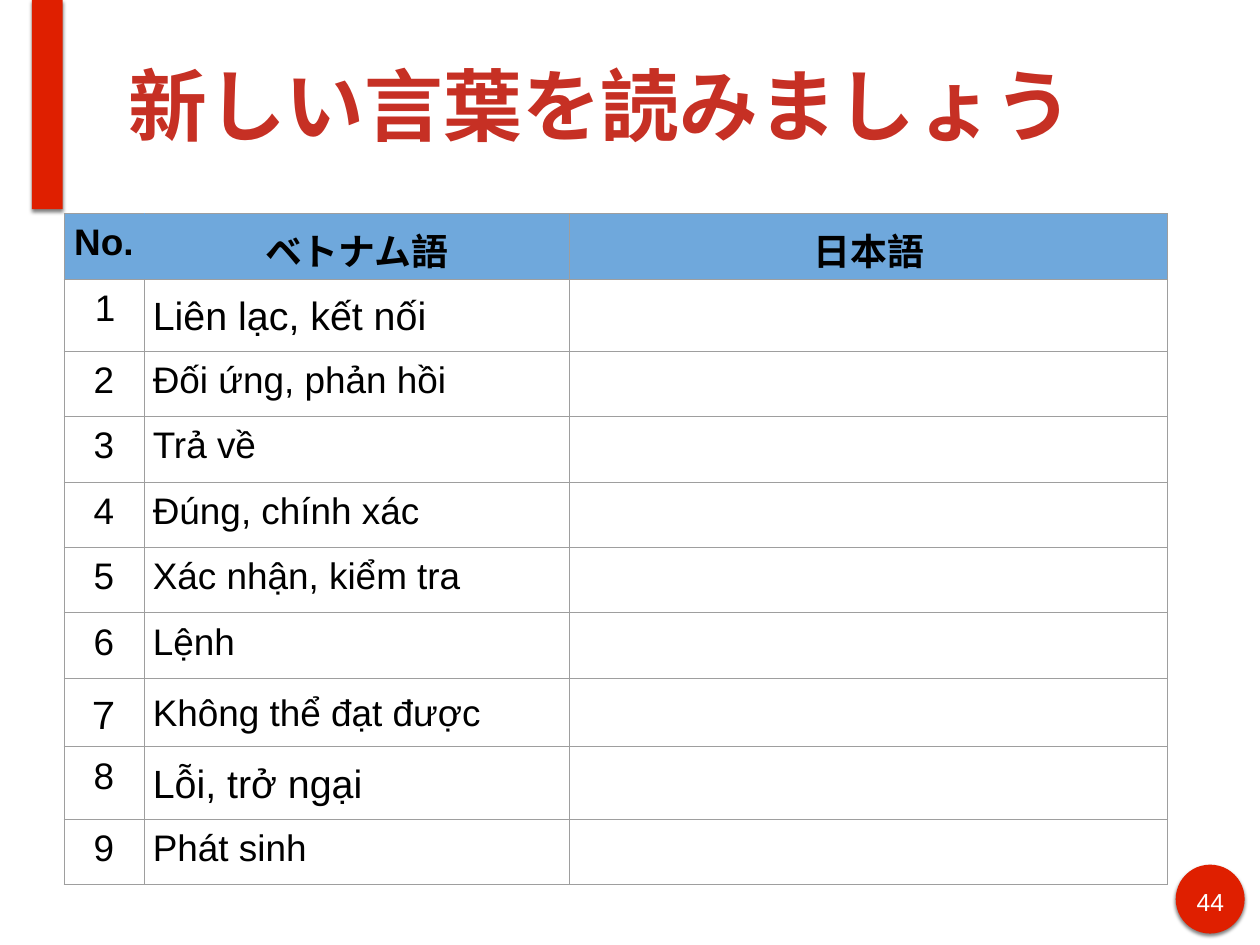
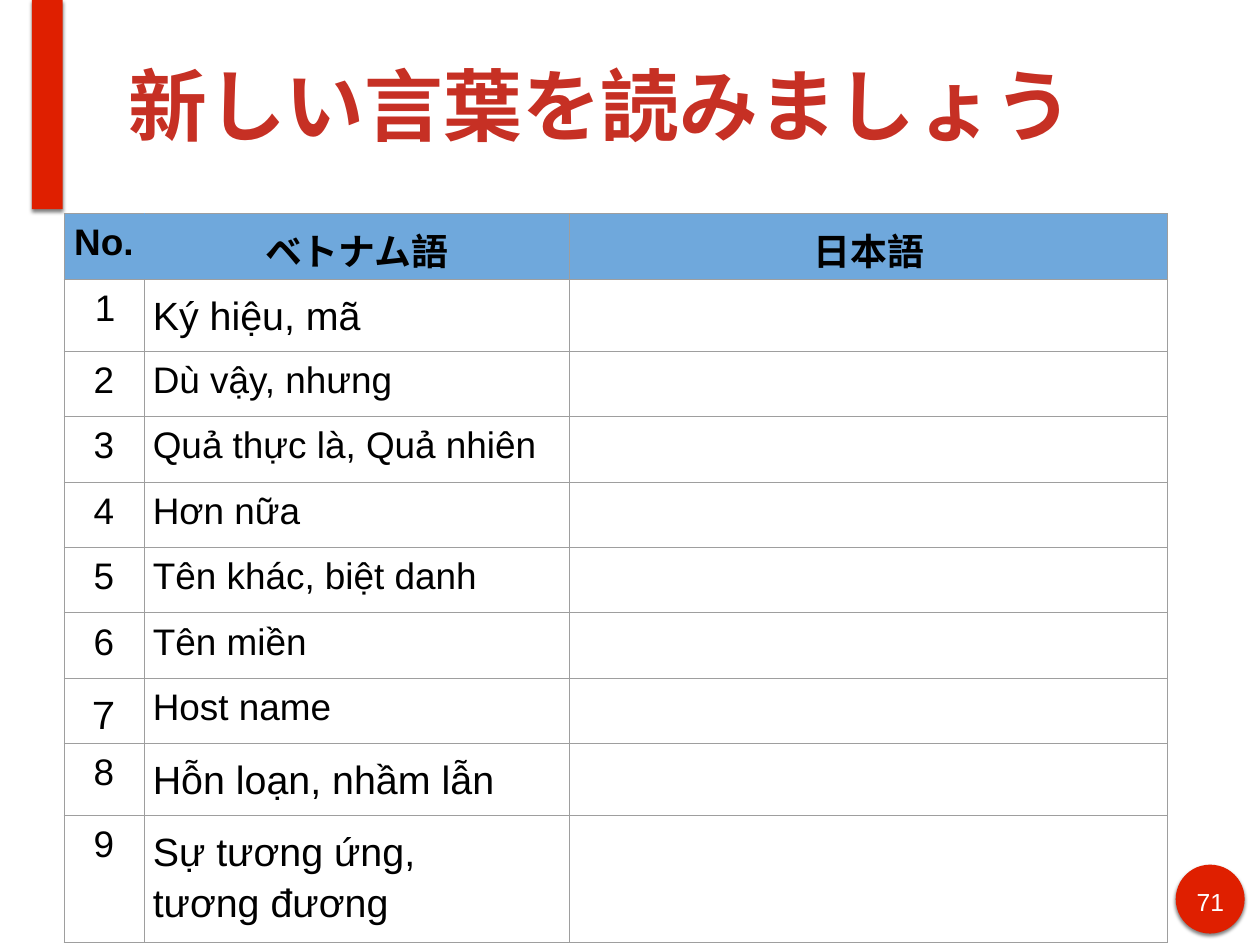
from pptx import Presentation
from pptx.dml.color import RGBColor
from pptx.enum.shapes import MSO_SHAPE as Shape
from pptx.enum.text import MSO_ANCHOR as Anchor, PP_ALIGN as Align
from pptx.oxml import parse_xml
from pptx.oxml.ns import nsdecls
from pptx.util import Pt

COLORS = {"red": "DF1F00", "title": "C63024", "header": "6FA8DC",
          "grid": "9E9E9E", "black": "000000", "white": "FFFFFF"}
TITLE = "新しい言葉を読みましょう"
HEADINGS = ["No.", "ベトナム語", "日本語"]
NUMBERS = ["1", "2", "3", "4", "5", "6", "７", "8", "9"]
COLUMN_WIDTHS = [65, 346, 486]
ROW_HEIGHT = 53.2

LESSONS = [
    {"number": "44", "last_row": ROW_HEIGHT, "large": [1, 8], "spaced": [1, 7, 8],
     "words": ["Liên lạc, kết nối", "Đối ứng, phản hồi", "Trả về",
               "Đúng, chính xác", "Xác nhận, kiểm tra", "Lệnh",
               "Không thể đạt được", "Lỗi, trở ngại", "Phát sinh"]},
    {"number": "71", "last_row": 83.5, "large": [1, 8, 9], "spaced": [1, 8, 9],
     "words": ["Ký hiệu, mã", "Dù vậy, nhưng", "Quả thực là, Quả nhiên",
               "Hơn nữa", "Tên khác, biệt danh", "Tên miền", "Host name",
               "Hỗn loạn, nhầm lẫn", "Sự tương ứng,\ntương đương"]},
]


def write(para, text, size, color, bold=False, align=Align.LEFT):
    para.alignment = align
    for index, line in enumerate(text.split("\n")):
        if index:
            para.add_line_break()
        span = para.add_run()
        span.text = line
        span.font.name = "Arial"
        span.font.size = Pt(size)
        span.font.bold = bold
        span.font.color.rgb = RGBColor.from_string(COLORS[color])


def add_text(page, left, top, width, height, anchor):
    box = page.shapes.add_textbox(Pt(left), Pt(top), Pt(width), Pt(height))
    frame = box.text_frame
    frame.word_wrap = True
    frame.vertical_anchor = anchor
    frame.margin_left = frame.margin_right = Pt(4.5)
    frame.margin_top = frame.margin_bottom = Pt(4.5)
    return frame.paragraphs[0]


deck = Presentation()
deck.slide_width, deck.slide_height = Pt(1024), Pt(768)

for lesson in LESSONS:
    page = deck.slides.add_slide(deck.slide_layouts[6])

    for kind, left, top, width, height in [(Shape.OVAL, 955.5, 702.7, 56, 56),
                                           (Shape.RECTANGLE, 26, 0, 25, 170)]:
        accent = page.shapes.add_shape(kind, Pt(left), Pt(top), Pt(width), Pt(height))
        accent.fill.solid()
        accent.fill.fore_color.rgb = RGBColor.from_string(COLORS["red"])
        accent.line.fill.background()
        accent.shadow.inherit = False
        accent.element.spPr.find("{*}effectLst").append(parse_xml(
            f'<a:outerShdw {nsdecls("a")} blurRad="{Pt(3)}" dist="{Pt(2)}" '
            f'dir="5400000" rotWithShape="0"><a:srgbClr val="{COLORS["black"]}">'
            '<a:alpha val="50000"/></a:srgbClr></a:outerShdw>'))

    write(add_text(page, 966, 716.5, 35.5, 28, Anchor.TOP),
          lesson["number"], 20, "white", align=Align.CENTER)
    write(add_text(page, 100, 8.5, 874, 152.5, Anchor.MIDDLE),
          TITLE, 64, "title", bold=True)

    heights = [ROW_HEIGHT] * len(NUMBERS) + [lesson["last_row"]]
    table = page.shapes.add_table(
        len(heights), len(COLUMN_WIDTHS), Pt(52), Pt(173.5),
        Pt(sum(COLUMN_WIDTHS)), Pt(sum(heights))).table
    table.first_row = table.horz_banding = False
    for column, width in zip(table.columns, COLUMN_WIDTHS):
        column.width = Pt(width)

    entries = [HEADINGS] + [[number, word, ""]
                            for number, word in zip(NUMBERS, lesson["words"])]
    for row_index, texts in enumerate(entries):
        table.rows[row_index].height = Pt(heights[row_index])
        heading = row_index == 0
        for column_index, text in enumerate(texts):
            cell = table.cell(row_index, column_index)
            cell.margin_left = cell.margin_right = Pt(7.2)
            cell.margin_top = cell.margin_bottom = Pt(7.2)
            for edge in ["L", "R", "T", "B"]:
                blended = heading and (column_index, edge) in [(0, "R"), (1, "L")]
                color = COLORS["header" if blended else "grid"]
                cell._tc.get_or_add_tcPr().append(parse_xml(
                    f'<a:ln{edge} {nsdecls("a")} w="{Pt(0.75)}"><a:solidFill>'
                    f'<a:srgbClr val="{color}"/></a:solidFill></a:ln{edge}>'))
            if heading:
                cell.fill.solid()
                cell.fill.fore_color.rgb = RGBColor.from_string(COLORS["header"])
            else:
                cell.fill.background()
            if not text:
                continue
            para = cell.text_frame.paragraphs[0]
            is_word = column_index == 1 and not heading
            hanging = row_index == 1 and column_index == 0
            if hanging:
                properties = para._p.get_or_add_pPr()
                properties.set("marL", str(Pt(36)))
                properties.set("indent", str(Pt(-18)))
            if is_word and row_index in lesson["spaced"]:
                para.line_spacing = 1.15
                para.space_after = Pt(25)
            size = 32 if is_word and row_index in lesson["large"] else 30
            align = Align.LEFT if is_word or hanging else Align.CENTER
            write(para, text, size, "black", heading, align)

deck.save("out.pptx")
